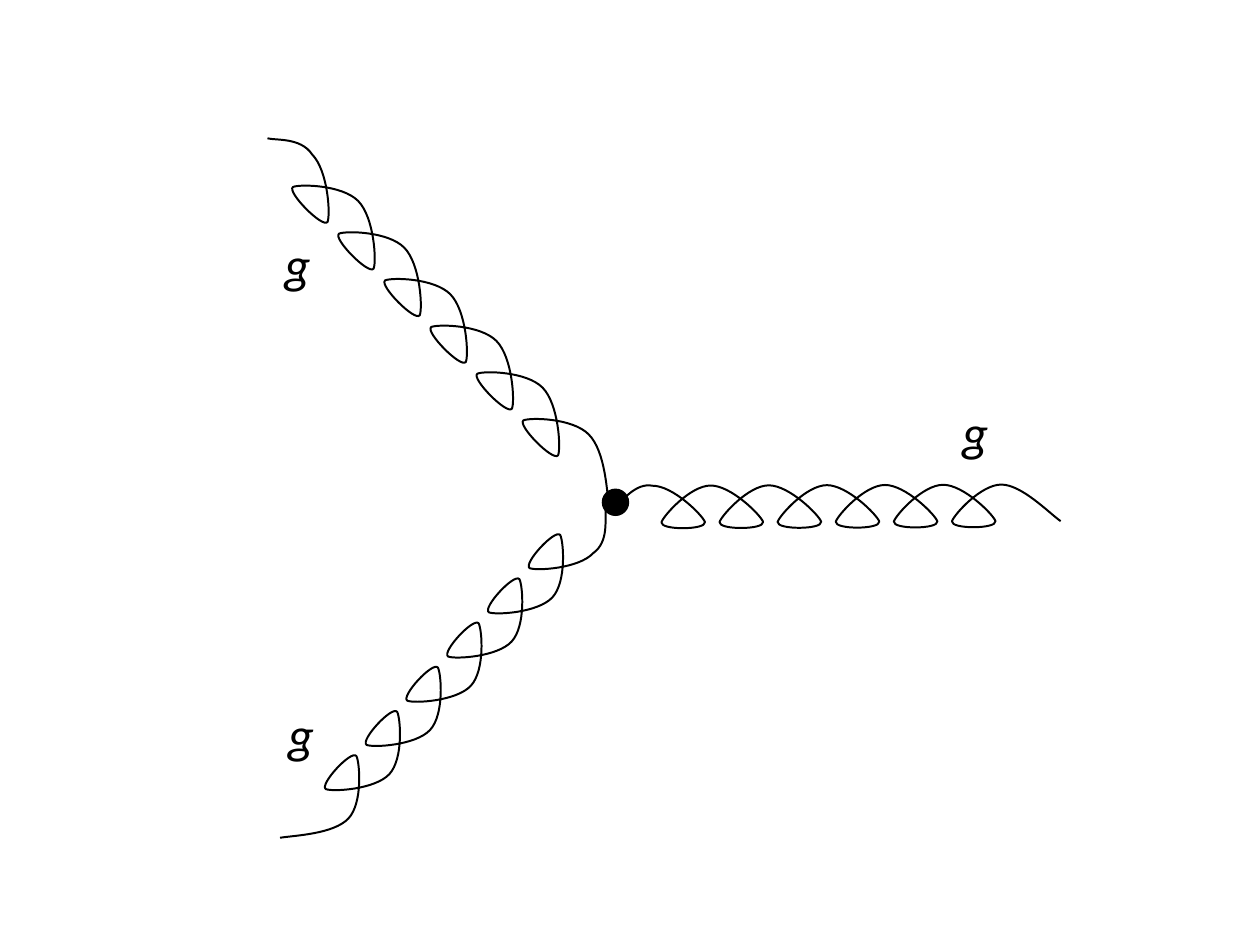
from dataclasses import dataclass
from math import hypot

from pptx import Presentation
from pptx.dml.color import RGBColor
from pptx.enum.shapes import MSO_SHAPE as Shape
from pptx.enum.text import MSO_AUTO_SIZE as AutoSize
from pptx.oxml.ns import qn
from pptx.util import Inches, Pt


@dataclass(frozen=True)
class Theme:
    ink: RGBColor = RGBColor(0, 0, 0)
    font: str = "Calibri"
    label_size: Pt = Pt(32)
    gluon_width: Pt = Pt(1.25)


theme = Theme()
CM_PER_INCH = 2.54
LOOP_COUNT = 6
LOOP = [(0.35, 0), (0.81, 0.26), (0.85, 0.32), (0.87, 0.39), (0.08, 0.39),
        (0.10, 0.32), (0.14, 0.26), (0.65, 0), (1, 0)]


def coil_points(lead, first_crest, last_crest, tail):
    step_x = (last_crest[0] - first_crest[0]) / LOOP_COUNT
    step_y = (last_crest[1] - first_crest[1]) / LOOP_COUNT
    pitch = hypot(step_x, step_y)
    points = lead + [first_crest]
    for turn in range(LOOP_COUNT):
        for along, depth in LOOP:
            x = first_crest[0] + (turn + along) * step_x + depth * step_y / pitch
            y = first_crest[1] + (turn + along) * step_y - depth * step_x / pitch
            points.append((x, y))
    return [(Inches(x), Inches(y)) for x, y in points + tail]


prs = Presentation()
prs.slide_width = Inches(28 / CM_PER_INCH)
prs.slide_height = Inches(21 / CM_PER_INCH)
slide = prs.slides.add_slide(prs.slide_layouts[6])

gluons = [
    ([(2.45, 7.33), (2.57, 7.31), (2.92, 7.30)], (3.05, 7.16),
     (5.19, 4.84), [(5.33, 4.74), (5.29, 4.54), (5.30, 4.46)]),
    ([(5.33, 4.45), (5.31, 4.32), (5.30, 3.95)], (5.15, 3.80),
     (2.73, 1.35), [(2.63, 1.20), (2.41, 1.23), (2.34, 1.21)]),
    ([(9.28, 4.56), (9.18, 4.49), (8.94, 4.24)], (8.76, 4.24),
     (5.71, 4.25), [(5.56, 4.22), (5.44, 4.39), (5.38, 4.44)]),
]
for gluon_parts in gluons:
    start, *rest = coil_points(*gluon_parts)
    outline = slide.shapes.build_freeform(*start)
    outline.add_line_segments(rest, close=False)
    gluon = outline.convert_to_shape()
    segments = list(gluon.element.iter(qn("a:lnTo")))
    for curve, second, third in zip(segments[::3], segments[1::3], segments[2::3]):
        curve.tag = qn("a:cubicBezTo")
        for segment in (second, third):
            curve.append(segment[0])
            segment.getparent().remove(segment)
    gluon.shadow.inherit = False
    gluon.fill.background()
    gluon.line.color.rgb = theme.ink
    gluon.line.width = theme.gluon_width

vertex = slide.shapes.add_shape(
    Shape.OVAL, Inches(5.27), Inches(4.28), Inches(0.23), Inches(0.23))
vertex.shadow.inherit = False
vertex.fill.solid()
vertex.fill.fore_color.rgb = theme.ink
vertex.line.color.rgb = theme.ink
vertex.line.width = Pt(0)

for left, top in [(2.39, 1.99), (2.42, 6.10), (8.32, 3.46)]:
    label = slide.shapes.add_textbox(
        Inches(left), Inches(top), Inches(0.43), Inches(0.63))
    frame = label.text_frame
    frame.word_wrap = False
    frame.auto_size = AutoSize.SHAPE_TO_FIT_TEXT
    frame.text = "g"
    font = frame.paragraphs[0].font
    font.name = theme.font
    font.size = theme.label_size
    font.italic = True
    font.color.rgb = theme.ink

prs.save("out.pptx")
